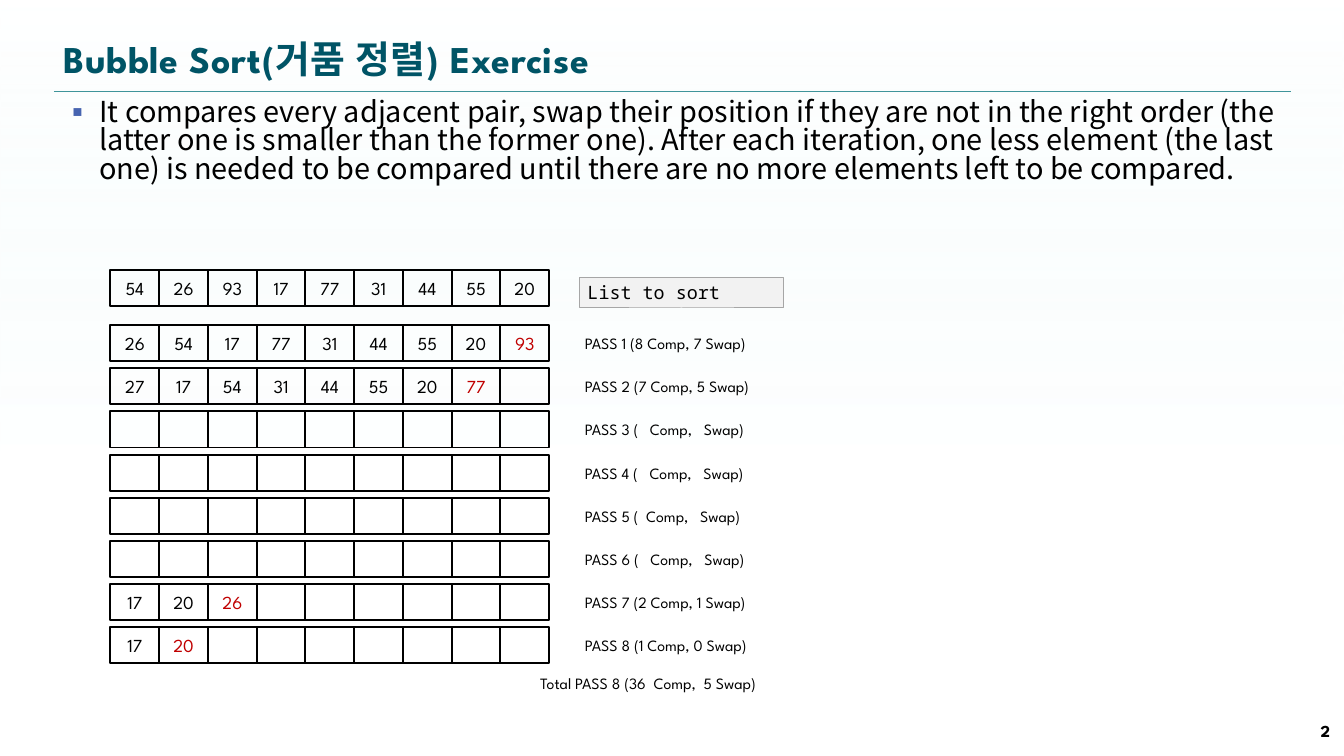
import pptx
import pptx.util
import pptx.oxml
import pptx.oxml.ns
import pptx.dml.color
import pptx.enum.shapes
import pptx.enum.text
import lxml.etree

Cm, Pt = pptx.util.Cm, pptx.util.Pt
qn = pptx.oxml.ns.qn
ALIGN = pptx.enum.text.PP_ALIGN
ANCHOR = pptx.enum.text.MSO_ANCHOR
RECT = pptx.enum.shapes.MSO_SHAPE.RECTANGLE

# Content
TITLE = "Bubble Sort(거품 정렬) Exercise"
BODY = (
    "It compares every adjacent pair, swap their position if they are not in the "
    "right order (the latter one is smaller than the former one). After each "
    "iteration, one less element (the last one) is needed to be compared until "
    "there are no more elements left to be compared."
)
START = [54, 26, 93, 17, 77, 31, 44, 55, 20]
# Each pass: numbers (the last one is the newly placed one), label
PASSES = [
    ([26, 54, 17, 77, 31, 44, 55, 20, 93], "PASS 1 (8 Comp, 7 Swap)"),
    ([27, 17, 54, 31, 44, 55, 20, 77], "PASS 2 (7 Comp, 5 Swap)"),
    ([], "PASS 3 (   Comp,   Swap)"),
    ([], "PASS 4 (   Comp,   Swap)"),
    ([], "PASS 5 (  Comp,   Swap)"),
    ([], "PASS 6 (   Comp,   Swap)"),
    ([17, 20, 26], "PASS 7 (2 Comp, 1 Swap)"),
    ([17, 20], "PASS 8 (1 Comp, 0 Swap)"),
]
TOTAL = "Total PASS 8 (36  Comp,  5 Swap)"

# Layout in centimetres
WIDE, HIGH = 36.12, 20.32
LEFT, SPAN = 1.45, 33.25
GRID_X, CELL_W, CELL_H = 2.97, 1.31, 0.97
START_Y, PASS_Y, STEP = 7.26, 8.74, 1.16
LABEL_X, LABEL_DY = 15.47, 0.11

MAIN, SANS, MONO = "League Spartan", "Noto Sans CJK KR", "Noto Sans Mono"
BLACK, RED = "000000", "C00000"


def rgb(code):
    return pptx.dml.color.RGBColor.from_string(code)


def write(shape, text, size, font=MAIN, color=BLACK, bold=False,
          align=ALIGN.LEFT, anchor=ANCHOR.TOP, inset=None):
    frame = shape.text_frame
    frame.word_wrap = True
    frame.vertical_anchor = anchor
    if inset is not None:
        frame.margin_left = frame.margin_right = Cm(inset)
        frame.margin_top = frame.margin_bottom = Cm(0.1)
    para = frame.paragraphs[0]
    para.text = text
    para.alignment = align
    run = para.runs[0]
    run.font.size, run.font.name, run.font.bold = Pt(size), font, bold
    run.font.color.rgb = rgb(color)
    east = lxml.etree.SubElement(run.font._element, qn("a:ea"))
    east.set("typeface", SANS)
    return para


def label(text, x, y, w, h, size, **style):
    box = slide.shapes.add_textbox(Cm(x), Cm(y), Cm(w), Cm(h))
    return write(box, text, size, **style)


def block(parent, x, y, w, h, fill=None, line=None, weight=1.5):
    shape = parent.add_shape(RECT, Cm(x), Cm(y), Cm(w), Cm(h))
    shape.shadow.inherit = False
    if fill:
        shape.fill.solid()
        shape.fill.fore_color.rgb = rgb(fill)
    else:
        shape.fill.background()
    if line:
        shape.line.color.rgb = rgb(line)
        shape.line.width = Pt(weight)
    else:
        shape.line.fill.background()
    return shape


def row(parent, nums, y, last):
    for i in range(len(START)):
        cell = block(parent, GRID_X + i * CELL_W, y, CELL_W, CELL_H, line=BLACK)
        if i < len(nums):
            color = last if i == len(nums) - 1 else BLACK
            write(cell, str(nums[i]), 14, color=color, align=ALIGN.CENTER,
                  anchor=ANCHOR.MIDDLE, inset=0.1)


deck = pptx.Presentation()
deck.slide_width, deck.slide_height = Cm(WIDE), Cm(HIGH)
slide = deck.slides.add_slide(deck.slide_layouts[5])

# Background tint, placed behind everything
tint = block(slide.shapes, 0, 0, WIDE, HIGH)
fade = pptx.oxml.parse_xml(
    '<a:gradFill xmlns:a="http://schemas.openxmlformats.org/drawingml/2006/main"><a:gsLst>'
    '<a:gs pos="0"><a:srgbClr val="D9F3F4"><a:alpha val="0"/></a:srgbClr></a:gs>'
    '<a:gs pos="61000"><a:srgbClr val="FFFFFF"><a:alpha val="40000"/></a:srgbClr></a:gs>'
    '</a:gsLst><a:lin ang="5400000" scaled="0"/></a:gradFill>')
props = tint._element.spPr
props.replace(props.find(qn("a:noFill")), fade)
slide.shapes._spTree.insert(2, tint._element)

# Title and rule
title = slide.shapes.title
title.left, title.top, title.width, title.height = Cm(LEFT), Cm(0.81), Cm(SPAN), Cm(1.52)
para = write(title, TITLE, 28.8, color="005466", bold=True, anchor=ANCHOR.MIDDLE)
para.runs[0].font._element.set("spc", "50")
rule = slide.shapes.add_connector(
    pptx.enum.shapes.MSO_CONNECTOR.STRAIGHT, Cm(LEFT), Cm(2.44), Cm(LEFT + SPAN), Cm(2.44))
rule.line.color.rgb = rgb("3F949A")
rule.line.width = Pt(0.25)
lxml.etree.SubElement(rule._element.spPr, qn("a:effectLst"))

# Bulleted explanation
para = label(BODY, LEFT, 2.54, SPAN, 16.31, 22, font=SANS)
para.line_spacing = 0.83
para.space_before = Pt(4.4)
props = para._p.get_or_add_pPr()
props.set("marL", str(Cm(0.97)))
props.set("indent", str(-Cm(0.97)))
hue = lxml.etree.SubElement(props, qn("a:buClr"))
lxml.etree.SubElement(hue, qn("a:srgbClr")).set("val", "4764B0")
lxml.etree.SubElement(props, qn("a:buFont")).set("typeface", SANS)
lxml.etree.SubElement(props, qn("a:buChar")).set("char", "▪")

# List to sort
row(slide.shapes.add_group_shape().shapes, START, START_Y, BLACK)
note = block(slide.shapes, 15.57, 7.47, 5.49, 0.81, "F2F2F2", "A6A6A6", 0.75)
write(note, "List to sort", 14, font=MONO, inset=0.22)

# Passes
for i, (nums, text) in enumerate(PASSES):
    y = PASS_Y + i * STEP
    row(slide.shapes, nums, y, RED)
    label(text, LABEL_X, y + LABEL_DY, 6.3, 0.76, 12)
label(TOTAL, 14.27, 17.98, 7.32, 0.76, 12)

# Slide number
label("2", 32.82, 19.1, 3.18, 1.09, 12.8, bold=True, align=ALIGN.RIGHT,
      anchor=ANCHOR.MIDDLE)

deck.save("out.pptx")
